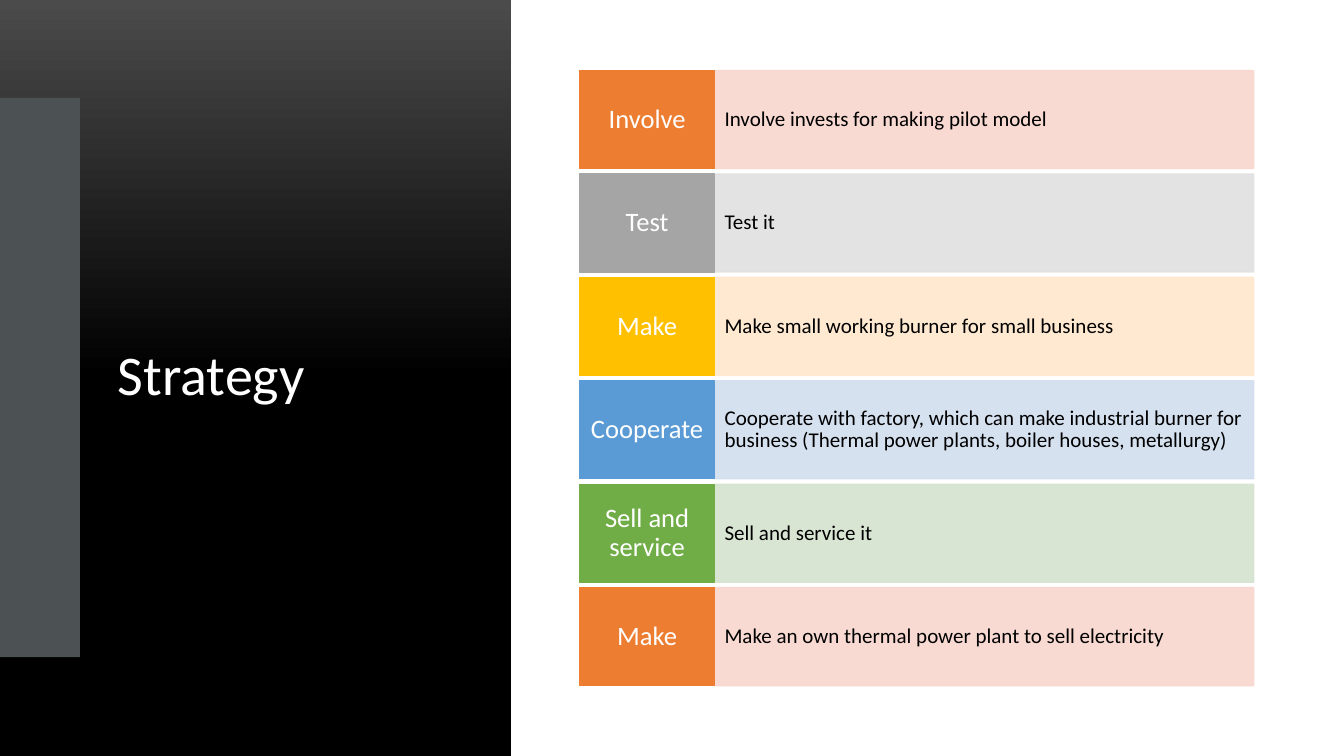
from copy import deepcopy
from dataclasses import dataclass

from lxml.etree import SubElement
from pptx import Presentation
from pptx.dml.color import RGBColor
from pptx.enum.shapes import MSO_SHAPE
from pptx.enum.text import MSO_ANCHOR, PP_ALIGN
from pptx.oxml.ns import qn
from pptx.shapes.autoshape import Shape
from pptx.shapes.shapetree import GroupShapes, SlideShapes
from pptx.slide import Slide
from pptx.text.text import TextFrame
from pptx.util import Pt


@dataclass(frozen=True)
class Theme:
    font: str = "Calibri"
    title_size: float = 40
    label_size: float = 19
    detail_size: float = 15
    light: str = "FFFFFF"
    dark: str = "000000"
    panel_top: str = "4B4B4B"
    accent: str = "4C5254"
    orange: tuple[str, str] = ("ED7D31", "F8D7CE")
    grey: tuple[str, str] = ("A5A5A5", "E1E1E1")
    gold: tuple[str, str] = ("FFC000", "FFE8CC")
    blue: tuple[str, str] = ("5B9BD5", "D2DEEF")
    green: tuple[str, str] = ("70AD47", "D5E3CF")
    tint_opacity: int = 90


@dataclass(frozen=True)
class Box:
    left: float
    top: float
    width: float
    height: float


@dataclass(frozen=True)
class TextStyle:
    size: float
    color: str
    align: PP_ALIGN
    inset_x: float
    inset_y: float


@dataclass(frozen=True)
class Step:
    label: str
    detail: str
    colors: tuple[str, str]


THEME = Theme()
SLIDE_WIDTH, SLIDE_HEIGHT = 960, 540
PANEL = Box(0, 0, 365, SLIDE_HEIGHT)
ACCENT = Box(0, 70, 57, 399.5)
TITLE = Box(77, 70, 247, 399.5)

ROW_LEFT, ROW_TOP, ROW_HEIGHT, ROW_PITCH = 414, 50.4, 70, 73.87
LABEL_WIDTH, DETAIL_WIDTH = 96.5, 385

TITLE_STYLE = TextStyle(THEME.title_size, THEME.light, PP_ALIGN.LEFT, 7.2, 3.6)
LABEL_STYLE = TextStyle(THEME.label_size, THEME.light, PP_ALIGN.CENTER, 5, 7.2)
DETAIL_STYLE = TextStyle(THEME.detail_size, THEME.dark, PP_ALIGN.LEFT, 7.2, 18)

STEPS = [
    Step("Involve", "Involve invests for making pilot model", THEME.orange),
    Step("Test", "Test it", THEME.grey),
    Step("Make", "Make small working burner for small business", THEME.gold),
    Step(
        "Cooperate",
        "Cooperate with factory, which can make industrial burner for business "
        "(Thermal power plants, boiler houses, metallurgy)",
        THEME.blue,
    ),
    Step("Sell and service", "Sell and service it", THEME.green),
    Step("Make", "Make an own thermal power plant to sell electricity", THEME.orange),
]


def add_rectangle(shapes: SlideShapes | GroupShapes, box: Box) -> Shape:
    rectangle = shapes.add_shape(
        MSO_SHAPE.RECTANGLE, Pt(box.left), Pt(box.top), Pt(box.width), Pt(box.height)
    )
    rectangle.shadow.inherit = False
    rectangle.line.fill.background()
    return rectangle


def fill_solid(rectangle: Shape, color: str) -> None:
    rectangle.fill.solid()
    rectangle.fill.fore_color.rgb = RGBColor.from_string(color)


def outline(rectangle: Shape, color: str) -> None:
    rectangle.line.color.rgb = RGBColor.from_string(color)
    rectangle.line.width = Pt(1)


def set_opacity(rectangle: Shape, percent: int) -> None:
    """Apply one opacity to both the fill and the outline."""
    for color in rectangle.element.spPr.iter(qn("a:srgbClr")):
        SubElement(color, qn("a:alpha"), val=str(percent * 1000))


def write(frame: TextFrame, wording: str, style: TextStyle) -> None:
    frame.word_wrap = True
    frame.vertical_anchor = MSO_ANCHOR.MIDDLE
    frame.margin_left = frame.margin_right = Pt(style.inset_x)
    frame.margin_top = frame.margin_bottom = Pt(style.inset_y)
    paragraph = frame.paragraphs[0]
    paragraph.alignment = style.align
    paragraph.line_spacing = 0.9
    run = paragraph.add_run()
    run.text = wording
    run.font.name = THEME.font
    run.font.size = Pt(style.size)
    run.font.color.rgb = RGBColor.from_string(style.color)


def add_panel(slide: Slide) -> None:
    """Place the gradient panel behind the title."""
    panel = add_rectangle(slide.shapes, PANEL)
    panel.fill.gradient()
    panel.fill.gradient_angle = 270
    top, middle = panel.fill.gradient_stops
    top.position, middle.position = 0, 0.5
    top.color.rgb = RGBColor.from_string(THEME.panel_top)
    middle.color.rgb = RGBColor.from_string(THEME.dark)
    stops = panel.element.spPr.find(".//" + qn("a:gsLst"))
    bottom = deepcopy(stops[-1])
    bottom.set("pos", "100000")
    stops.append(bottom)
    slide.shapes.title.element.addprevious(panel.element)


def add_title(slide: Slide) -> None:
    title = slide.shapes.title
    title.left, title.top = Pt(TITLE.left), Pt(TITLE.top)
    title.width, title.height = Pt(TITLE.width), Pt(TITLE.height)
    write(title.text_frame, "Strategy", TITLE_STYLE)


def add_step(shapes: GroupShapes, step: Step, top: float) -> None:
    strong, tint = step.colors
    detail_box = Box(ROW_LEFT + LABEL_WIDTH, top, DETAIL_WIDTH, ROW_HEIGHT)
    detail = add_rectangle(shapes, detail_box)
    fill_solid(detail, tint)
    outline(detail, tint)
    set_opacity(detail, THEME.tint_opacity)
    write(detail.text_frame, step.detail, DETAIL_STYLE)

    label = add_rectangle(shapes, Box(ROW_LEFT, top, LABEL_WIDTH, ROW_HEIGHT))
    fill_solid(label, strong)
    outline(label, strong)
    write(label.text_frame, step.label, LABEL_STYLE)


def main() -> None:
    presentation = Presentation()
    presentation.slide_width = Pt(SLIDE_WIDTH)
    presentation.slide_height = Pt(SLIDE_HEIGHT)
    title_only = presentation.slide_layouts.get_by_name("Title Only")
    slide = presentation.slides.add_slide(title_only)

    add_panel(slide)
    add_title(slide)
    fill_solid(add_rectangle(slide.shapes, ACCENT), THEME.accent)
    steps_group = slide.shapes.add_group_shape()
    for row, step in enumerate(STEPS):
        add_step(steps_group.shapes, step, ROW_TOP + row * ROW_PITCH)

    presentation.save("out.pptx")


if __name__ == "__main__":
    main()
